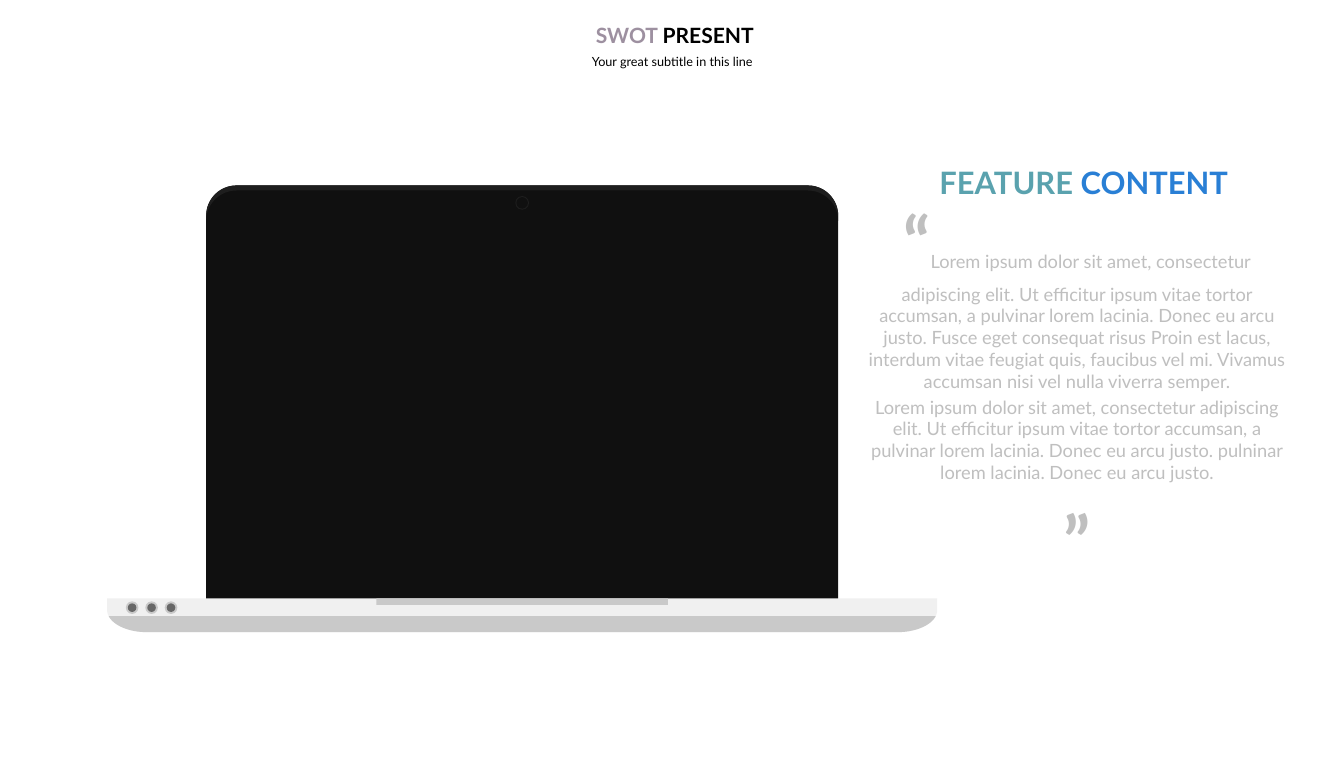
"""Build a slide with a laptop mockup beside a quoted feature text."""
from math import cos, radians, sin

from pptx import Presentation
from pptx.dml.color import RGBColor
from pptx.enum.shapes import MSO_SHAPE
from pptx.enum.text import MSO_AUTO_SIZE, PP_ALIGN
from pptx.util import Inches, Pt

SCREEN = RGBColor(0x10, 0x10, 0x10)
RIM = RGBColor(0x1E, 0x1E, 0x1E)
BASE = RGBColor(0xF0, 0xF0, 0xF0)
SHADE = RGBColor(0xC9, 0xC9, 0xC9)
BUTTON = RGBColor(0x67, 0x67, 0x67)
QUOTE = RGBColor(0xBF, 0xBF, 0xBF)
TEAL = RGBColor(0x5A, 0xA2, 0xAE)
BLUE = RGBColor(0x29, 0x7F, 0xD5)
MAUVE = RGBColor(0x9D, 0x90, 0xA0)
BLACK = RGBColor(0, 0, 0)

MARK = {"size": Pt(100), "bold": True}
BODY = {"size": Pt(26), "bold": False}
HEADING = {"size": Pt(44), "bold": True}
TITLE = {"size": Pt(30), "bold": True}
SUBTITLE = {"size": Pt(18), "bold": False}

FIRST_TEXT = (
    "Lorem ipsum dolor sit amet, consectetur adipiscing elit. Ut efficitur ipsum "
    "vitae tortor accumsan, a pulvinar lorem lacinia. Donec eu arcu justo. Fusce eget "
    "consequat risus Proin est lacus, interdum vitae feugiat quis, faucibus vel mi. "
    "Vivamus accumsan nisi vel nulla viverra semper."
)
SECOND_TEXT = (
    "Lorem ipsum dolor sit amet, consectetur adipiscing elit. Ut efficitur ipsum "
    "vitae tortor accumsan, a pulvinar lorem lacinia. Donec eu arcu justo. pulninar "
    "lorem lacinia. Donec eu arcu justo."
)
QUOTE_BOX = {
    "at": (16.81, 3.8, 9.02, 7.33), "inset": (0.27, 0.13), "grow": False,
    "paragraphs": [
        (0, [("“", MARK, QUOTE), (FIRST_TEXT, BODY, QUOTE)]),
        (5.2, [(SECOND_TEXT, BODY, QUOTE)]),
        (20, [("”", MARK, QUOTE)]),
    ],
}
HEADING_BOX = {
    "at": (18.05, 3.19, 6.8, 0.84), "inset": (0.1, 0.05), "grow": True,
    "paragraphs": [(0, [("FEATURE ", HEADING, TEAL), ("CONTENT", HEADING, BLUE)])],
}
SUBTITLE_BOX = {
    "at": (9.22, 0.95, 8.17, 0.55), "inset": (0.24, 0.12), "grow": True,
    "paragraphs": [(0, [("Your great subtitle in this line", SUBTITLE, BLACK)])],
}
TITLE_BOX = {
    "at": (8.3, 0.34, 10.11, 0.71), "inset": (0.2, 0.1), "grow": True,
    "paragraphs": [(0, [("SWOT ", TITLE, MAUVE), ("PRESENT", TITLE, BLACK)])],
}

LID_LEFT, LID_TOP, LID_WIDTH, LID_HEIGHT, LID_RADIUS = 4.08, 3.67, 12.51, 8.61, 0.6
RIM_DEPTH = 0.1
BASE_LEFT, BASE_RIGHT, BASE_TOP = 2.12, 18.55, 11.84
CORNER_TOP, CORNER_WIDTH, CORNER_HEIGHT = 12.07, 0.79, 0.44
SHADE_ANGLE = 16
CAMERA = (10.335, 4.015)
BUTTON_LEFT, BUTTON_MIDDLE, BUTTON_STEP = 2.615, 12.025, 0.385


def arc(center, radii, start, end, steps=16):
    angles = [radians(start + (end - start) * step / steps) for step in range(steps + 1)]
    return [(center[0] + radii[0] * cos(angle), center[1] + radii[1] * sin(angle))
            for angle in angles]


def paint(shape, color):
    shape.shadow.inherit = False
    shape.fill.solid()
    shape.fill.fore_color.rgb = color
    shape.line.fill.background()
    return shape


def add_preset(shapes, kind, at, color):
    return paint(shapes.add_shape(kind, *map(Inches, at)), color)


def add_outline(shapes, points, color):
    start, *others = [(Inches(x), Inches(y)) for x, y in points]
    builder = shapes.build_freeform(*start)
    builder.add_line_segments(others, close=True)
    paint(builder.convert_to_shape(), color)


def add_disc(shapes, center, size, color):
    corner = [middle - size / 2 for middle in center]
    add_preset(shapes, MSO_SHAPE.OVAL, (*corner, size, size), color)


def base_corners(angle):
    radii = (CORNER_WIDTH, CORNER_HEIGHT)
    left = (BASE_LEFT + CORNER_WIDTH, CORNER_TOP)
    right = (BASE_RIGHT - CORNER_WIDTH, CORNER_TOP)
    return arc(left, radii, 180 - angle, 90) + arc(right, radii, 90, angle)


def add_laptop(shapes):
    lid = add_preset(shapes, MSO_SHAPE.ROUND_2_SAME_RECTANGLE,
                     (LID_LEFT, LID_TOP, LID_WIDTH, LID_HEIGHT), SCREEN)
    lid.adjustments[0] = LID_RADIUS / LID_HEIGHT
    radii = (LID_RADIUS, LID_RADIUS)
    middle = LID_TOP + LID_RADIUS
    edge = arc((LID_LEFT + LID_RADIUS, middle), radii, 180, 270)
    edge += arc((LID_LEFT + LID_WIDTH - LID_RADIUS, middle), radii, 270, 360)
    add_outline(shapes, edge + [(x, y + RIM_DEPTH) for x, y in reversed(edge)], RIM)

    top_edge = [(BASE_RIGHT, BASE_TOP), (BASE_LEFT, BASE_TOP)]
    add_outline(shapes, base_corners(0) + top_edge, BASE)
    add_outline(shapes, base_corners(SHADE_ANGLE), SHADE)
    for size, color in ((0.27, RIM), (0.23, SCREEN)):
        add_disc(shapes, CAMERA, size, color)
    add_preset(shapes, MSO_SHAPE.RECTANGLE, (7.45, BASE_TOP, 5.77, 0.13), SHADE)
    for index in range(3):
        center = (BUTTON_LEFT + index * BUTTON_STEP, BUTTON_MIDDLE)
        for size, color in ((0.25, SHADE), (0.17, BUTTON)):
            add_disc(shapes, center, size, color)


def add_text(shapes, content):
    frame = shapes.add_textbox(*map(Inches, content["at"])).text_frame
    across, down = map(Inches, content["inset"])
    layout = {
        "word_wrap": True,
        "auto_size": MSO_AUTO_SIZE.SHAPE_TO_FIT_TEXT if content["grow"] else MSO_AUTO_SIZE.NONE,
        "margin_left": across, "margin_right": across,
        "margin_top": down, "margin_bottom": down,
    }
    for name, value in layout.items():
        setattr(frame, name, value)
    for index, (space, spans) in enumerate(content["paragraphs"]):
        para = frame.add_paragraph() if index else frame.paragraphs[0]
        para.alignment = PP_ALIGN.CENTER
        para.space_before = Pt(space)
        for text, style, color in spans:
            span = para.add_run()
            span.text = text
            for name, value in {"name": "Lato", **style}.items():
                setattr(span.font, name, value)
            span.font.color.rgb = color


def main():
    deck = Presentation()
    deck.slide_width, deck.slide_height = Inches(26.6), Inches(15)
    page = deck.slides.add_slide(deck.slide_layouts[6])
    add_laptop(page.shapes.add_group_shape().shapes)
    for content in (QUOTE_BOX, HEADING_BOX):
        add_text(page.shapes, content)
    header = page.shapes.add_group_shape().shapes
    for content in (SUBTITLE_BOX, TITLE_BOX):
        add_text(header, content)
    deck.save("out.pptx")


if __name__ == "__main__":
    main()
